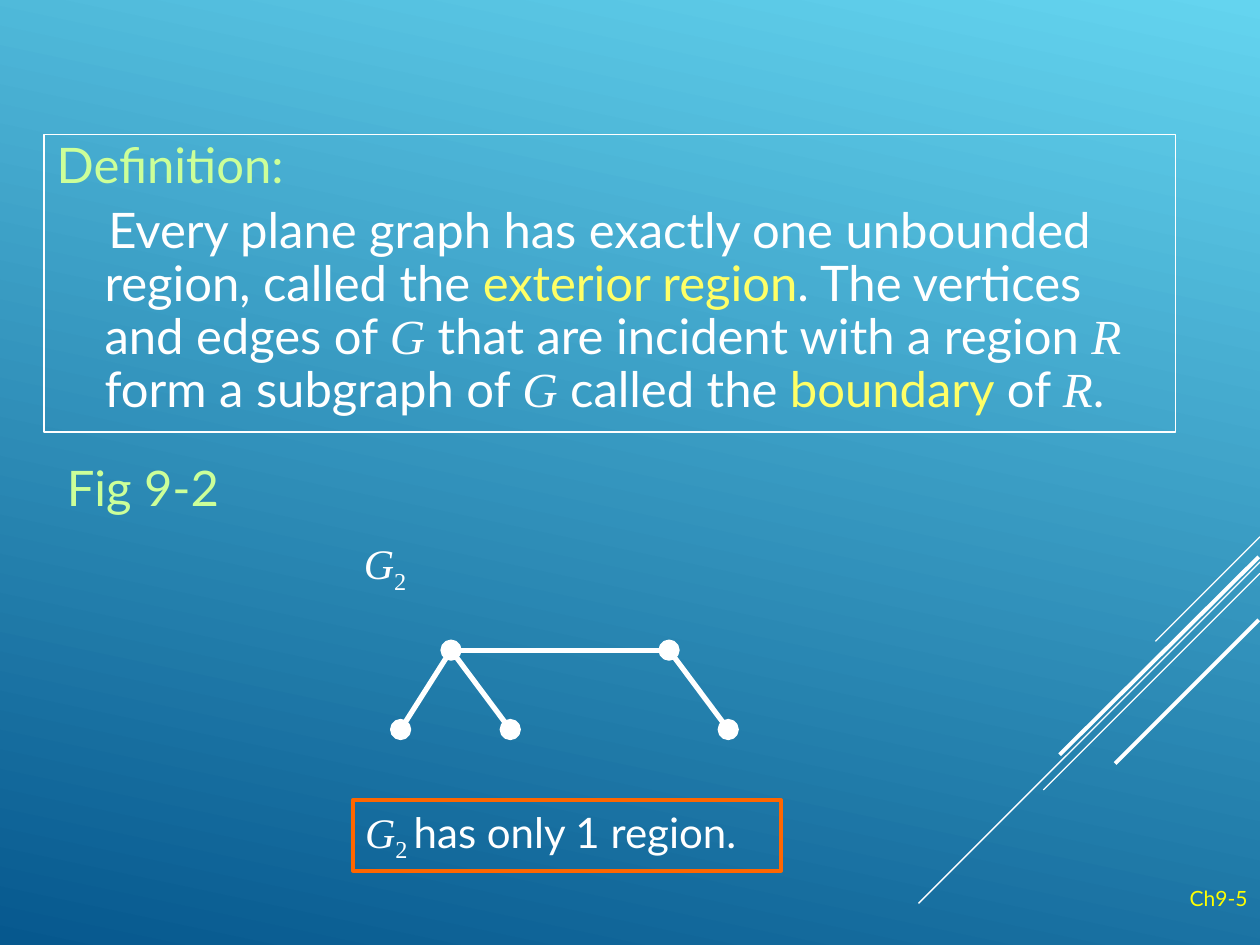
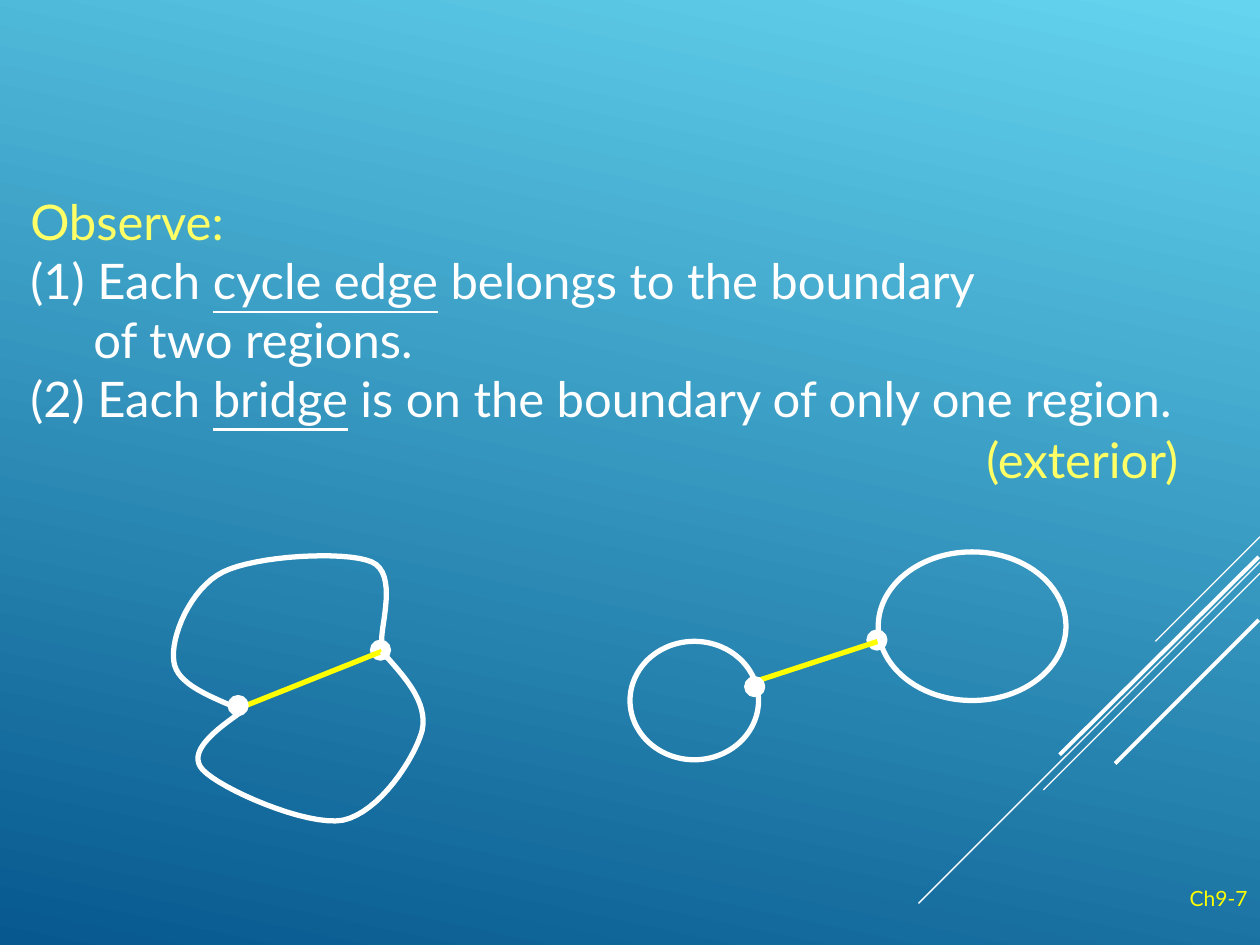
from pptx import Presentation
from pptx.dml.color import RGBColor
from pptx.enum.shapes import MSO_CONNECTOR, MSO_SHAPE
from pptx.enum.text import MSO_ANCHOR, MSO_AUTO_SIZE, PP_ALIGN
from pptx.oxml.ns import qn
from pptx.util import Inches, Pt
from lxml.etree import SubElement

COLORS = {
    "white": "FFFFFF", "green": "CCFF99", "pale": "FFFF66",
    "yellow": "FFFF00", "orange": "FF6600",
    "sky": "64D4EF", "deep": "06588E",
}
SANS, SERIF = "Lato", "Times New Roman"
DOT = 0.14

# Run styles
PLAIN = {}
GREEN = {"color": "green"}
PALE = {"color": "pale"}
MATH = {"font": SERIF, "italic": True}
SUB = {"font": SERIF, "sub": True}
UNDER = {"underline": True}

# Diagonal strokes in the lower right corner: x1, y1, x2, y2, weight
STROKES = [
    (10, 4.26, 9.17, 5.09, 0.75), (10, 4.46, 7.29, 7.17, 0.75),
    (10, 4.55, 8.28, 6.27, 0.75), (9.99, 4.42, 8.41, 5.99, 2.25),
    (9.99, 4.92, 8.85, 6.06, 2.25),
]


def rgb(name):
    return RGBColor.from_string(COLORS[name])


def box(values):
    return [Inches(v) for v in values]


# --- Text ---
def write(p, runs, size, margin=0, indent=0, before=0, spacing=1.0, align=PP_ALIGN.LEFT):
    """Fill a paragraph with (text, style) runs."""
    p.alignment = align
    p.line_spacing = spacing
    p.space_before = Pt(before)
    pPr = p._p.get_or_add_pPr()
    pPr.set("marL", str(Inches(margin)))
    pPr.set("indent", str(Inches(indent)))
    SubElement(pPr, qn("a:buNone"))
    for text, style in runs:
        r = p.add_run()
        r.text = text
        r.font.name = style.get("font", SANS)
        r.font.size = Pt(size)
        r.font.italic = style.get("italic", False)
        r.font.underline = style.get("underline", False)
        r.font.color.rgb = rgb(style.get("color", "white"))
        if style.get("sub"):
            r._r.get_or_add_rPr().set("baseline", "-25000")


def place(sp, at, anchor=MSO_ANCHOR.TOP):
    """Move a text shape and return its prepared text frame."""
    sp.left, sp.top, sp.width, sp.height = box(at)
    tf = sp.text_frame
    tf.word_wrap = True
    tf.auto_size = MSO_AUTO_SIZE.NONE
    tf.vertical_anchor = anchor
    return tf


def add_text(s, at, runs, size, **layout):
    sp = s.shapes.add_textbox(*box(at))
    write(place(sp, at).paragraphs[0], runs, size, **layout)
    return sp


def outline(sp, color, weight):
    sp.line.color.rgb = rgb(color)
    sp.line.width = Pt(weight)


# --- Drawing ---
def add_edge(s, start, end, color="white", weight=3):
    line = s.shapes.add_connector(MSO_CONNECTOR.STRAIGHT, *box(start), *box(end))
    outline(line, color, weight)
    SubElement(line._element.spPr, qn("a:effectLst"))


def add_ellipse(s, at, weight, filled=False):
    sp = s.shapes.add_shape(MSO_SHAPE.OVAL, *box(at))
    sp.shadow.inherit = False
    if filled:
        sp.fill.solid()
        sp.fill.fore_color.rgb = rgb("white")
    else:
        sp.fill.background()
    outline(sp, "white", weight)


def add_dot(s, center):
    x, y = center
    add_ellipse(s, (x - DOT / 2, y - DOT / 2, DOT, DOT), 2, filled=True)


def add_curve(s, start, segments, steps=16):
    """Draw an open outline through cubic Bezier segments."""
    points, p0 = [], start
    for p1, p2, p3 in segments:
        for i in range(1, steps + 1):
            t = i / steps
            u = 1 - t
            points.append(box(
                u**3 * a + 3 * u * u * t * b + 3 * u * t * t * c + t**3 * d
                for a, b, c, d in zip(p0, p1, p2, p3)))
        p0 = p3
    builder = s.shapes.build_freeform(*box(start), scale=1.0)
    builder.add_line_segments(points, close=False)
    sp = builder.convert_to_shape()
    sp.shadow.inherit = False
    sp.fill.background()
    outline(sp, "white", 3)


# --- Shared slide parts ---
def set_background(prs):
    fill = prs.slide_master.background.fill
    fill.gradient()
    fill.gradient_angle = 360 - 102
    for stop, name in zip(fill.gradient_stops, ("sky", "deep")):
        stop.color.rgb = rgb(name)


def new_slide(prs, label):
    s = prs.slides.add_slide(prs.slide_layouts[1])
    for x1, y1, x2, y2, weight in STROKES:
        add_edge(s, (x1, y1), (x2, y2), weight=weight)
    add_text(s, (7.92, 6.98, 2.08, 0.28), [(label, {"color": "yellow"})], 12,
             align=PP_ALIGN.RIGHT)
    return s


# --- Slides ---
def exterior_region_slide(prs):
    s = new_slide(prs, "Ch9-5")

    # Definition
    body = s.placeholders[1]
    tf = place(body, (0.35, 1.07, 8.98, 2.36))
    outline(body, "white", 0.75)
    write(tf.paragraphs[0], [("Definition:", GREEN)], 28, spacing=0.9)
    write(tf.add_paragraph(), [
        ("Every plane graph has exactly one unbounded region, called the ", PLAIN),
        ("exterior region", PALE),
        (". The vertices and edges of ", PLAIN), ("G", MATH),
        (" that are incident with a region ", PLAIN), ("R", MATH),
        (" form a subgraph of ", PLAIN), ("G", MATH),
        (" called the", PLAIN), (" boundary", PALE),
        (" of ", PLAIN), ("R", MATH), (".", PLAIN),
    ], 28, margin=0.38, indent=0.03, before=7, spacing=0.9)

    # Tree G2
    tf = place(s.shapes.title, (0.43, 3.51, 1.73, 0.71), MSO_ANCHOR.MIDDLE)
    write(tf.paragraphs[0], [("Fig 9-2", GREEN)], 28)
    add_text(s, (2.79, 4.22, 0.7, 0.56), [("G", MATH), ("2", SUB)], 24)
    hub, elbow = (3.58, 5.16), (5.31, 5.16)
    leaves = [(3.18, 5.79), (4.05, 5.79), (5.78, 5.79)]
    for node in (hub, elbow, *leaves):
        add_dot(s, node)
    for start, end in zip((hub, hub, elbow, hub), (*leaves, elbow)):
        add_edge(s, start, end)

    # Conclusion
    sp = add_text(s, (2.8, 6.35, 3.4, 0.56),
                  [("G", MATH), ("2 ", SUB), ("has only 1 region.", PLAIN)], 24)
    outline(sp, "orange", 2.25)


def observation_slide(prs):
    s = new_slide(prs, "Ch9-7")
    title = s.shapes.title._element
    title.getparent().remove(title)

    # Observations
    tf = place(s.placeholders[1], (0.14, 1.47, 9.8, 1.97))
    write(tf.paragraphs[0], [("Observe:", PALE)], 28)
    write(tf.add_paragraph(), [("(1) Each ", PLAIN), ("cycle edge", UNDER),
                               (" belongs to the boundary", PLAIN)], 28)
    write(tf.add_paragraph(), [("of two regions.", PLAIN)], 28, margin=0.5)
    write(tf.add_paragraph(), [("(2) Each ", PLAIN), ("bridge", UNDER),
                               (" is on the boundary of only one region.", PLAIN)], 28)
    add_text(s, (7.73, 3.36, 1.87, 0.57), [("(exterior)", PALE)], 28)

    # Cycle edge between two regions
    add_dot(s, (3.02, 5.16))
    add_edge(s, (1.85, 5.64), (3.03, 5.17), "yellow")
    add_dot(s, (1.89, 5.6))
    add_curve(s, (1.93, 5.64), [
        ((1.67, 5.53), (1.4, 5.43), (1.38, 5.25)),
        ((1.35, 5.06), (1.51, 4.67), (1.77, 4.54)),
        ((2.03, 4.41), (2.74, 4.37), (2.95, 4.46)),
        ((3.16, 4.55), (3.02, 4.97), (3.03, 5.09)),
    ])
    add_curve(s, (1.93, 5.64), [
        ((1.7, 5.8), (1.48, 5.97), (1.61, 6.11)),
        ((1.75, 6.26), (2.43, 6.56), (2.72, 6.51)),
        ((3.01, 6.45), (3.29, 6.02), (3.35, 5.8)),
        ((3.4, 5.57), (3.21, 5.37), (3.03, 5.17)),
    ])

    # Bridge between two cycles
    add_dot(s, (6.96, 5.08))
    add_edge(s, (6.02, 5.4), (6.97, 5.09), "yellow")
    add_dot(s, (5.99, 5.45))
    for cycle in ((5, 5.09, 1.02, 0.94), (6.97, 4.38, 1.49, 1.18)):
        add_ellipse(s, cycle, 3)


def main():
    prs = Presentation()
    prs.slide_width, prs.slide_height = Inches(10), Inches(7.5)
    set_background(prs)
    exterior_region_slide(prs)
    observation_slide(prs)
    prs.save("out.pptx")


if __name__ == "__main__":
    main()
